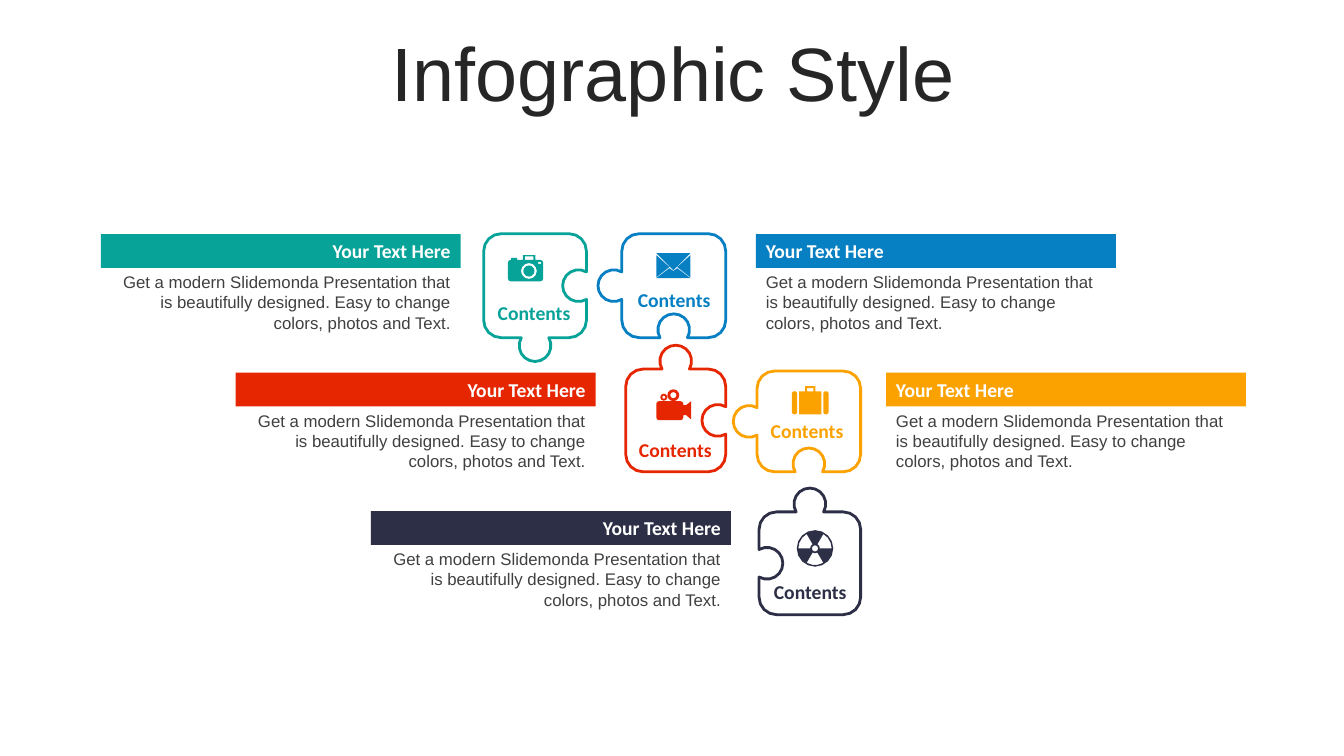
from math import cos, radians, sin

from pptx import Presentation
from pptx.dml.color import RGBColor
from pptx.enum.shapes import MSO_SHAPE
from pptx.enum.text import MSO_ANCHOR, PP_ALIGN
from pptx.util import Cm, Pt

COLORS = {
    "teal": "07A398", "blue": "0680C3", "red": "E62601", "yellow": "FBA200",
    "navy": "2C2F45", "white": "FFFFFF", "title": "262626", "body": "404040",
}
BODY = ("Get a modern Slidemonda Presentation that is beautifully designed. "
        "Easy to change colors, photos and Text.")

prs = Presentation()
prs.slide_width, prs.slide_height = Cm(33.87), Cm(19.05)
s = prs.slides.add_slide(prs.slide_layouts[6])


def outline(left, top, right, bottom, radius=0, joints=None):
    """Rounded box; joints maps a side to 1 (knob) or -1 (socket)."""
    joints = joints or {}
    cx, cy = (left + right) / 2, (top + bottom) / 2
    sides = {"top": (cx, top, -90, right - radius, top + radius),
             "right": (right, cy, 0, right - radius, bottom - radius),
             "bottom": (cx, bottom, 90, left + radius, bottom - radius),
             "left": (left, cy, 180, left + radius, top + radius)}
    arcs = []
    for side, (x, y, a, corner_x, corner_y) in sides.items():
        if side in joints:
            d = joints[side]
            start, end = (a - 120, a + 120) if d > 0 else (a - 60, a - 300)
            arcs.append((x + d * 0.2 * cos(radians(a)), y + d * 0.2 * sin(radians(a)),
                         0.4, start, end, 12))
        steps = 4 if radius > 0.3 else 3 if radius > 0.1 else 2 if radius else 0
        arcs.append((corner_x, corner_y, radius, a, a + 90, steps))
    return [(x + r * cos(radians(a + (b - a) * i / max(n, 1))),
             y + r * sin(radians(a + (b - a) * i / max(n, 1))))
            for x, y, r, a, b, n in arcs for i in range(n + 1)]


def add_text(sp, text, size, font, color, align, bold=False):
    tf = sp.text_frame
    tf.word_wrap = True
    tf.text = text
    p = tf.paragraphs[0]
    p.alignment = align
    r = p.runs[0]
    r.font.size, r.font.name, r.font.bold = Pt(size), font, bold
    r.font.color.rgb = RGBColor.from_string(COLORS[color])
    return tf


# Title
sp = s.shapes.add_textbox(Cm(0.89), Cm(0.94), Cm(32.16), Cm(2.01))
tf = add_text(sp, "Infographic Style", 54, "Arial", "title", PP_ALIGN.CENTER)
tf.vertical_anchor = MSO_ANCHOR.MIDDLE
tf.paragraphs[0].line_spacing = 0.9

# Puzzle pieces: colour, box, joints
pieces = [
    ("teal", (12.19, 5.89, 14.78, 8.51), {"right": -1, "bottom": 1}),
    ("blue", (15.67, 5.89, 18.29, 8.51), {"bottom": -1, "left": 1}),
    ("red", (15.77, 9.3, 18.29, 11.89), {"top": 1, "right": -1}),
    ("yellow", (19.08, 9.35, 21.69, 11.89), {"bottom": -1, "left": 1}),
    ("navy", (19.13, 12.9, 21.69, 15.49), {"top": 1, "left": -1}),
]
drawings = [("white", color, [outline(*box, 0.44, joints)])
            for color, box, joints in pieces]

# Icons: boxes and circles as left, top, right, bottom, radius
box_icons = {
    "teal": [(12.8, 6.55, 13.69, 7.09, 0.07), (13.18, 6.43, 13.49, 6.55),
             (13.23, 6.46, 13.44, 6.55), (12.88, 6.5, 13.03, 6.55),
             (13.13, 6.63, 13.53, 7.03, 0.2), (13.19, 6.69, 13.47, 6.97, 0.14),
             (13.56, 6.6, 13.64, 6.65)],
    "red": [(16.54, 10.11, 17.22, 10.59, 0.07),
            (16.82, 9.81, 17.12, 10.11, 0.15), (16.89, 9.88, 17.05, 10.04, 0.08),
            (16.64, 9.92, 16.82, 10.1, 0.09), (16.69, 9.97, 16.77, 10.05, 0.04)],
    "yellow": [(19.96, 9.86, 20.09, 10.44, 0.05), (20.14, 9.86, 20.7, 10.44),
               (20.75, 9.86, 20.88, 10.44, 0.05), (20.29, 9.73, 20.55, 9.86),
               (20.34, 9.78, 20.5, 9.86)],
    "navy": [(20.08, 13.36, 21, 14.28, 0.46), (20.46, 13.74, 20.62, 13.9, 0.08)],
}
icons = {color: [outline(*box) for box in boxes] for color, boxes in box_icons.items()}
icons["red"].append([(17.22, 10.21), (17.29, 10.21), (17.42, 10.11),
                     (17.42, 10.57), (17.29, 10.46), (17.22, 10.46)])
icons["blue"] = [
    [(16.54, 6.38), (17.4, 6.38), (16.97, 6.81)],
    [(16.54, 6.43), (16.87, 6.73), (16.54, 6.99)],
    [(17.4, 6.43), (17.4, 6.99), (17.07, 6.73)],
    [(17.07, 6.76), (17.4, 7.01), (16.54, 7.01), (16.87, 6.76), (16.97, 6.83)],
]
for start in (60, 180, 300):
    sweep = range(start, start + 61, 20)
    icons["navy"].append([(20.54 + r * cos(radians(a)), 13.82 + r * sin(radians(a)))
                          for r, angles in ((0.12, sweep), (0.42, reversed(sweep)))
                          for a in angles])
drawings += [(color, None, contours) for color, contours in icons.items()]

# Draw pieces and icons
for fill, line, contours in drawings:
    points = [[(Cm(x), Cm(y)) for x, y in contour] for contour in contours]
    builder = s.shapes.build_freeform(*points[0][0])
    for i, contour in enumerate(points):
        if i:
            builder.move_to(*contour[0])
        builder.add_line_segments(contour[1:], close=True)
    sp = builder.convert_to_shape()
    sp.shadow.inherit = False
    sp.fill.solid()
    sp.fill.fore_color.rgb = RGBColor.from_string(COLORS[fill])
    if line:
        sp.line.color.rgb = RGBColor.from_string(COLORS[line])
        sp.line.width = Pt(2)
    else:
        sp.line.fill.background()

# Headings with descriptions: colour, left, row, alignment
for color, left, row, align in [
    ("teal", 2.54, 0, PP_ALIGN.RIGHT), ("blue", 19.05, 0, PP_ALIGN.LEFT),
    ("red", 5.94, 1, PP_ALIGN.RIGHT), ("yellow", 22.33, 1, PP_ALIGN.LEFT),
    ("navy", 9.35, 2, PP_ALIGN.RIGHT),
]:
    top = 5.9 + 3.49 * row
    sp = s.shapes.add_shape(MSO_SHAPE.RECTANGLE, Cm(left), Cm(top), Cm(9.07), Cm(0.85))
    sp.shadow.inherit = False
    sp.fill.solid()
    sp.fill.fore_color.rgb = RGBColor.from_string(COLORS[color])
    sp.line.fill.background()
    add_text(sp, "Your Text Here", 14, "Calibri", "white", align, True)
    sp = s.shapes.add_textbox(Cm(left), Cm(top + 0.83), Cm(9.07), Cm(1.8))
    add_text(sp, BODY, 12, "Arial", "body", align)

# Piece labels
for color, left, top in [("teal", 12.14, 7.47), ("blue", 15.67, 7.14),
                         ("red", 15.7, 10.92), ("yellow", 19.02, 10.44),
                         ("navy", 19.1, 14.48)]:
    sp = s.shapes.add_textbox(Cm(left), Cm(top), Cm(2.64), Cm(0.86))
    add_text(sp, "Contents", 14, "Calibri", color, PP_ALIGN.CENTER, True)

prs.save("out.pptx")
